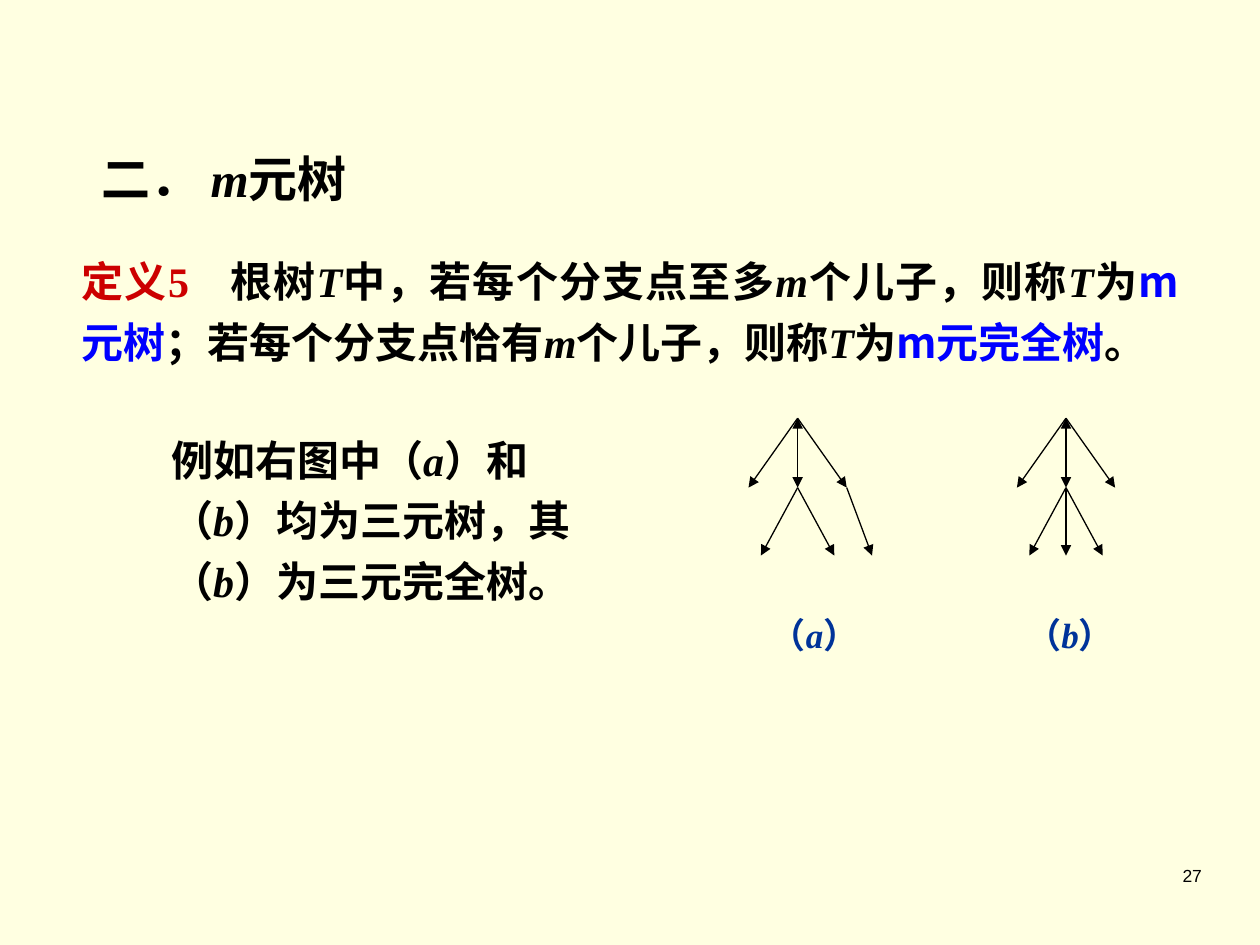
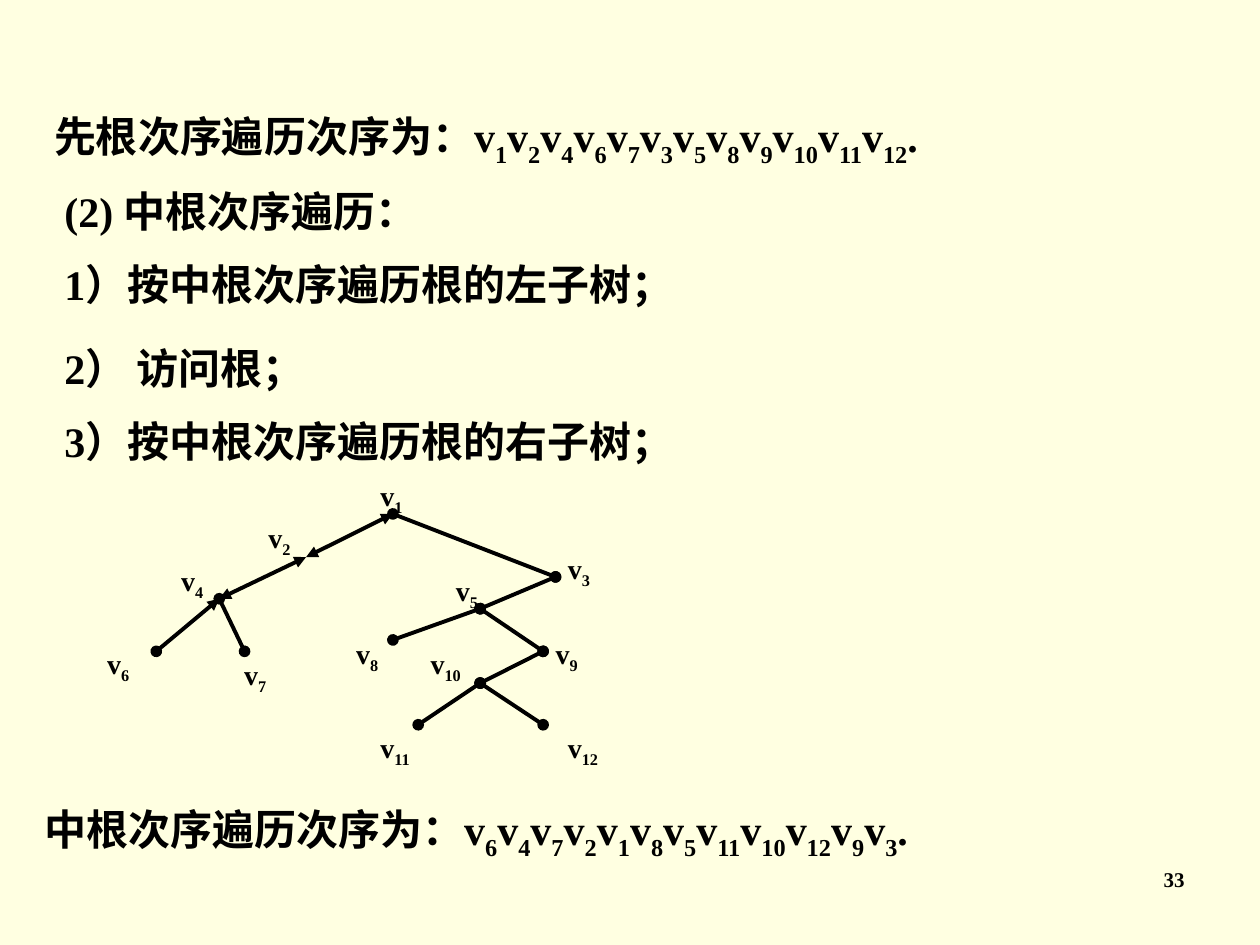
from lxml import etree
from pptx import Presentation
from pptx.dml.color import RGBColor
from pptx.enum.lang import MSO_LANGUAGE_ID
from pptx.enum.shapes import MSO_CONNECTOR
from pptx.enum.text import PP_ALIGN
from pptx.oxml.ns import qn
from pptx.util import Cm, Pt

LINE = MSO_CONNECTOR.STRAIGHT
LEFT, RIGHT, FULL = PP_ALIGN.LEFT, PP_ALIGN.RIGHT, PP_ALIGN.JUSTIFY
CHINESE = MSO_LANGUAGE_ID.SIMPLIFIED_CHINESE
SERIF, SANS, HAN = "Times New Roman", "Arial", "Noto Sans CJK SC"
COLORS = {"paper": "FFFFE1", "ink": "000000", "term": "0000FF",
          "head": "CC0000", "label": "003399"}

# Node number: point x, y, then label left, top (cm)
NODES = {
    1: (7.92, 10.36, 7.42, 9.53),
    2: (6.17, 11.23, 5.16, 10.36),
    3: (11.2, 11.63, 11.2, 11),
    4: (4.42, 12.07, 3.4, 11.23),
    5: (9.68, 12.27, 8.94, 11.43),
    6: (3.15, 13.13, 1.91, 12.9),
    7: (4.93, 13.13, 4.67, 13.13),
    8: (7.92, 12.9, 6.93, 12.7),
    9: (10.95, 13.13, 10.95, 12.7),
    10: (9.68, 13.77, 8.43, 12.9),
    11: (8.43, 14.61, 7.42, 14.61),
    12: (10.95, 14.61, 11.2, 14.61),
}
DOTTED = [(4, 7), (1, 3), (3, 5), (5, 8), (5, 9), (9, 10), (10, 11), (10, 12)]


def color(name):
    return RGBColor.from_string(COLORS[name])


def add_page(deck):
    page = deck.slides.add_slide(deck.slide_layouts[6])
    page.background.fill.solid()
    page.background.fill.fore_color.rgb = color("paper")
    return page


def add_run(para, piece, ink):
    """Add one piece; a first sign / is italic, _ subscript, # a term, ! a head."""
    sign = piece[0] if piece[0] in "/_#!" else ""
    run = para.add_run()
    run.text = piece[len(sign):]
    if sign == "/":
        run.font.italic = True
    elif sign == "_":
        run._r.get_or_add_rPr().set("baseline", "-25000")
    elif sign == "#":
        run.font.name = HAN
    if ink is None:
        run.font.color.rgb = color({"#": "term", "!": "head"}.get(sign, "ink"))


def add_text(page, text, box, size=24, ink="ink", font=SERIF, bold=True,
             align=LEFT, space=None, tab=None):
    """Add a text box; | parts the runs, and ink None colours each run by its sign."""
    frame = page.shapes.add_textbox(*map(Cm, box)).text_frame
    frame.word_wrap = True
    para = frame.paragraphs[0]
    para.alignment = align
    para.line_spacing = space
    if tab:
        stops = etree.SubElement(para._p.get_or_add_pPr(), qn("a:tabLst"))
        etree.SubElement(stops, qn("a:tab"), pos=str(Cm(tab)), algn="l")
    para.font.size, para.font.bold, para.font.name = Pt(size), bold, font
    para.font.language_id = CHINESE
    if ink:
        para.font.color.rgb = color(ink)
    base = para._p.pPr.find(qn("a:defRPr"))
    etree.SubElement(base, qn("a:ea"), typeface=HAN)
    for piece in text.split("|"):
        add_run(para, piece, ink)


def add_edge(page, start, end, width, head=None, tail="triangle"):
    edge = page.shapes.add_connector(LINE, *map(Cm, (*start, *end)))
    edge.line.width = Pt(width)
    edge.line.color.rgb = color("ink")
    ln = edge.line._get_or_add_ln()
    for tag, kind in (("a:headEnd", head), ("a:tailEnd", tail)):
        if kind:
            etree.SubElement(ln, qn(tag), type=kind)
    etree.SubElement(edge._element.spPr, qn("a:effectLst"))


def add_tree(page, x, leaves):
    """Draw three branches from the root at x, then leaves as (from, to) offsets."""
    top, mid, low = 8.43, 9.83, 11.2
    for step in (0, -0.99, 0.99):
        add_edge(page, (x, top), (x + step, mid), 0.75,
                 head=None if step else "triangle")
    for start, end in leaves:
        add_edge(page, (x + start, mid), (x + end, low), 0.75)


def add_nodes(page):
    def join(start, end, head, tail):
        add_edge(page, NODES[start][:2], NODES[end][:2], 2.25, head, tail)

    join(1, 2, "triangle", "triangle")
    join(2, 4, "triangle", "triangle")
    join(4, 6, "triangle", "oval")
    for start, end in DOTTED:
        join(start, end, "oval", "oval")
    for num, (_, _, left, top) in NODES.items():
        add_text(page, f"v|_{num}", (left, top, 1.5 if num > 9 else 1.07, 1.04), 16)


def add_order(page, title, order, left, top):
    names = "|v|".join(f"_{num}" for num in order)
    add_text(page, f"{title}：v|{names}|.", (left, top, 22.23, 1.42))


def draw_kinds(deck):
    page = add_page(deck)
    add_text(page, "27", (19.2, 17.32, 5.28, 1.27), 10, font=SANS, bold=False,
             align=RIGHT)
    add_text(page, "二． |/m|元树", (1.8, 2.64, 11.61, 1.68), 28, space=1.2)
    add_text(page, "!定义5\t|根树|/T|中，若每个分支点至多|/m|个儿子，则称|/T|为|#m元树"
             "|；若每个分支点恰有|/m|个儿子，则称|/T|为|#m元完全树|。",
             (1.4, 4.83, 22.61, 3.91), ink=None, align=FULL, space=1.2, tab=2.92)
    add_text(page, "例如右图中（|/a|）和（|/b|）均为三元树，其（|/b|）为三元完全树。",
             (3.2, 8.43, 8.99, 3.91), space=1.2)
    pair = [(0, -0.74), (0, 0.74)]
    add_tree(page, 16.08, pair + [(0.99, 1.5)])
    add_tree(page, 21.49, pair + [(0, 0)])
    for name, left in (("a", 15.29), ("b", 20.44)):
        add_text(page, f"（|/{name}|）", (left, 12.24, 4, 1.73), 20, "label")


def draw_walk(deck):
    page = add_page(deck)
    add_text(page, "33", (18.85, 17.35, 5.28, 1.27), 12, align=RIGHT)
    add_order(page, "先根次序遍历次序为", (1, 2, 4, 6, 7, 3, 5, 8, 9, 10, 11, 12),
              0.84, 2.11)
    steps = (("(2) 中根次序遍历：", 3.61), ("1）按中根次序遍历根的左子树；", 5.08),
             ("2） 访问根；", 6.78), ("3）按中根次序遍历根的右子树；", 8.26))
    for text, top in steps:
        add_text(page, text, (1.05, top, 22, 1.27))
    add_nodes(page)
    add_order(page, "中根次序遍历次序为", (6, 4, 7, 2, 1, 8, 5, 11, 10, 12, 9, 3),
              0.64, 16.08)


def main():
    deck = Presentation()
    deck.slide_width, deck.slide_height = Cm(25.4), Cm(19.05)
    draw_kinds(deck)
    draw_walk(deck)
    deck.save("out.pptx")


if __name__ == "__main__":
    main()
